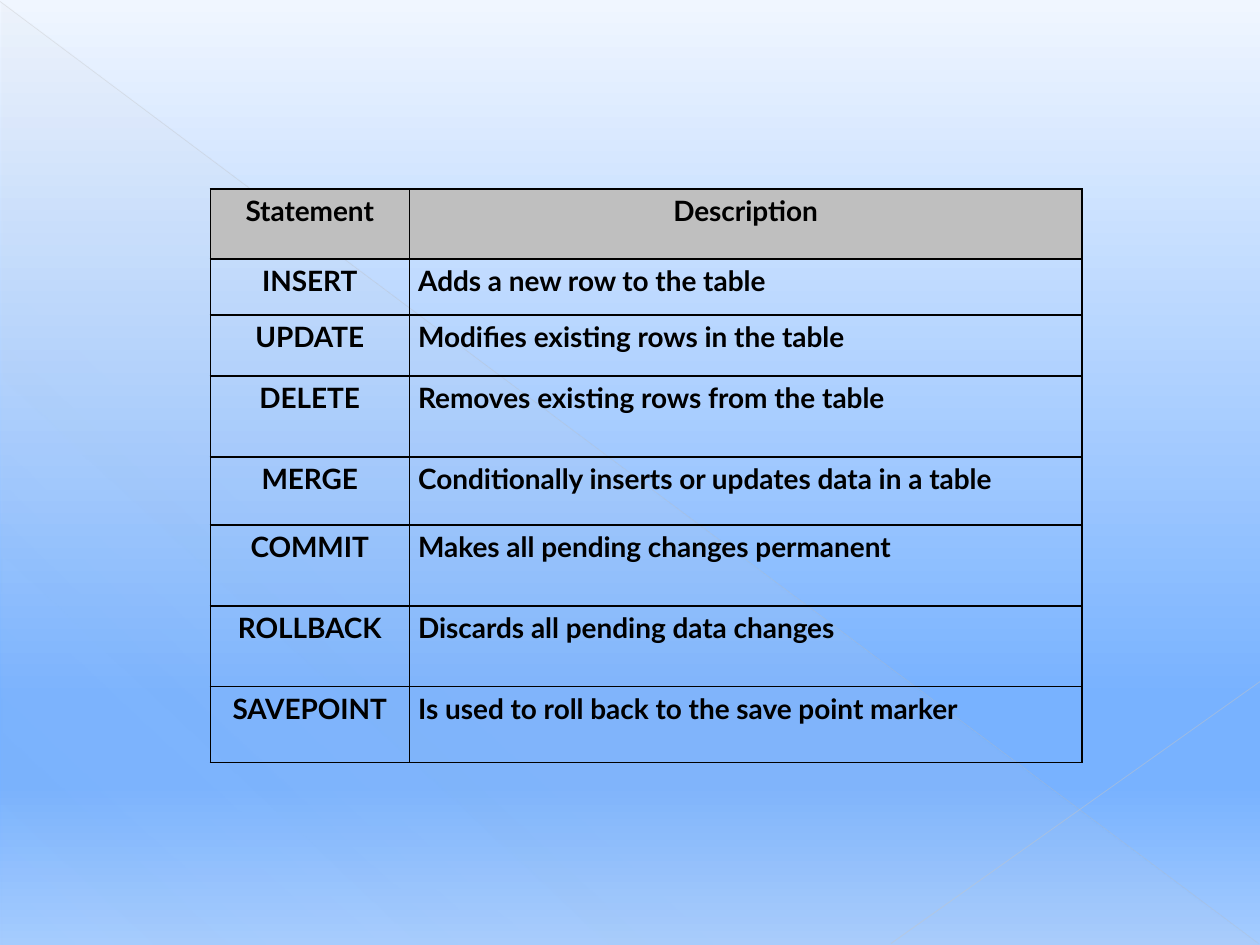
from lxml import etree
from pptx import Presentation
from pptx.dml.color import RGBColor
from pptx.enum.shapes import MSO_CONNECTOR, MSO_SHAPE
from pptx.enum.text import PP_ALIGN
from pptx.oxml.ns import qn
from pptx.util import Cm, Pt

STRAIGHT = MSO_CONNECTOR.STRAIGHT
RIGHT_TRIANGLE = MSO_SHAPE.RIGHT_TRIANGLE
LEFT, CENTER = PP_ALIGN.LEFT, PP_ALIGN.CENTER

HEADINGS = ("Statement", "Description")
STATEMENTS = [
    ("INSERT", "Adds a new row to the table"),
    ("UPDATE", "Modifies existing rows in the table"),
    ("DELETE", "Removes existing rows from the table"),
    ("MERGE", "Conditionally inserts or updates data in a table"),
    ("COMMIT", "Makes all pending changes permanent"),
    ("ROLLBACK", "Discards all pending data changes"),
    ("SAVEPOINT", "Is used to roll back to the save point marker"),
]

# Lengths in centimetres
SLIDE_SIZE = (25.4, 19.05)
TABLE_ORIGIN = (4.24, 3.81)
COLUMN_WIDTHS = (4.01, 13.56)
ROW_HEIGHTS = (1.41, 1.13, 1.23, 1.63, 1.37, 1.64, 1.62, 1.53)
TRIANGLE_BOX = (0.03, 0.05, 25.35, 19)

THEME = {
    "font": "Lato",
    "size": 16,
    "line_spacing": 1.15,
    "text": "000000",
    "border": "000000",
    "border_width": 1,
    "heading_fill": "BFBFBF",
    # Gradient stops: position %, colour, opacity %
    "sky": [(0, "F0F6FF", 100), (74, "78B2FF", 100),
            (83, "78B2FF", 100), (100, "A5CCFF", 100)],
    "haze": [(0, "D2D2D2", 10), (70, "D2D2D2", 8), (100, "D2D2D2", 1)],
}

# Start, end, colour, width in points, opacity %
DIAGONALS = [
    ((0, 0.03), (25.37, 19.02), "BFBFBF", 0.39, 35),
    ((25.4, 13.74), (17.96, 19.02), "C6C6C6", 0.47, 45),
]


def add_colour(parent, colour, opacity=100):
    node = etree.SubElement(parent, qn("a:srgbClr"), val=colour)
    if opacity < 100:
        etree.SubElement(node, qn("a:alpha"), val=str(opacity * 1000))


def set_gradient(fill, owner, stops, angle):
    """Give fill, held in the XML of owner, any number of stops; angle is clockwise."""
    fill.gradient()
    gradient = owner.find(".//" + qn("a:gradFill"))
    for child in list(gradient):
        gradient.remove(child)
    stop_list = etree.SubElement(gradient, qn("a:gsLst"))
    for position, colour, opacity in stops:
        stop = etree.SubElement(stop_list, qn("a:gs"), pos=str(position * 1000))
        add_colour(stop, colour, opacity)
    etree.SubElement(gradient, qn("a:lin"), ang=str(angle * 60000), scaled="0")


def add_diagonal(slide, start, end, colour, width, opacity):
    diagonal = slide.shapes.add_connector(
        STRAIGHT, *(Cm(value) for value in start + end))
    diagonal.line.color.rgb = RGBColor.from_string(colour)
    diagonal.line.width = Pt(width)
    properties = diagonal.element.spPr
    etree.SubElement(properties.find(".//" + qn("a:srgbClr")), qn("a:alpha"),
                     val=str(opacity * 1000))
    etree.SubElement(properties, qn("a:effectLst"))


def write_text(frame, text, align=LEFT, bold=True):
    paragraph = frame.paragraphs[0]
    paragraph.alignment = align
    paragraph.line_spacing = THEME["line_spacing"]
    run = paragraph.add_run()
    run.text = text
    run.font.name = THEME["font"]
    run.font.size = Pt(THEME["size"])
    run.font.bold = bold
    run.font.color.rgb = RGBColor.from_string(THEME["text"])


def add_borders(cell):
    properties = cell._tc.get_or_add_tcPr()
    for index, side in enumerate(("lnL", "lnR", "lnT", "lnB")):
        border = etree.Element(qn("a:" + side), w=str(Pt(THEME["border_width"])))
        add_colour(etree.SubElement(border, qn("a:solidFill")), THEME["border"])
        properties.insert(index, border)


def add_statement_table(slide):
    rows = [HEADINGS] + STATEMENTS
    table = slide.shapes.add_table(
        len(rows), len(HEADINGS), *(Cm(value) for value in TABLE_ORIGIN),
        Cm(sum(COLUMN_WIDTHS)), Cm(sum(ROW_HEIGHTS))).table
    for column, width in zip(table.columns, COLUMN_WIDTHS):
        column.width = Cm(width)
    for row, height in zip(table.rows, ROW_HEIGHTS):
        row.height = Cm(height)
    for r, texts in enumerate(rows):
        for c, text in enumerate(texts):
            cell = table.cell(r, c)
            cell.margin_left = cell.margin_right = Cm(0.18)
            cell.margin_top = cell.margin_bottom = 0
            if r == 0:
                cell.fill.solid()
                cell.fill.fore_color.rgb = RGBColor.from_string(THEME["heading_fill"])
            else:
                cell.fill.background()
            add_borders(cell)
            write_text(cell.text_frame, text,
                       align=CENTER if r == 0 or c == 0 else LEFT)


def main():
    deck = Presentation()
    deck.slide_width, deck.slide_height = (Cm(value) for value in SLIDE_SIZE)
    slide = deck.slides.add_slide(deck.slide_layouts[6])
    set_gradient(slide.background.fill, slide.element, THEME["sky"], 90)

    haze = slide.shapes.add_shape(
        RIGHT_TRIANGLE, *(Cm(value) for value in TRIANGLE_BOX))
    haze.shadow.inherit = False
    haze.line.fill.background()
    set_gradient(haze.fill, haze.element, THEME["haze"], 133)

    for diagonal in DIAGONALS:
        add_diagonal(slide, *diagonal)
    add_statement_table(slide)
    deck.save("out.pptx")


if __name__ == "__main__":
    main()
